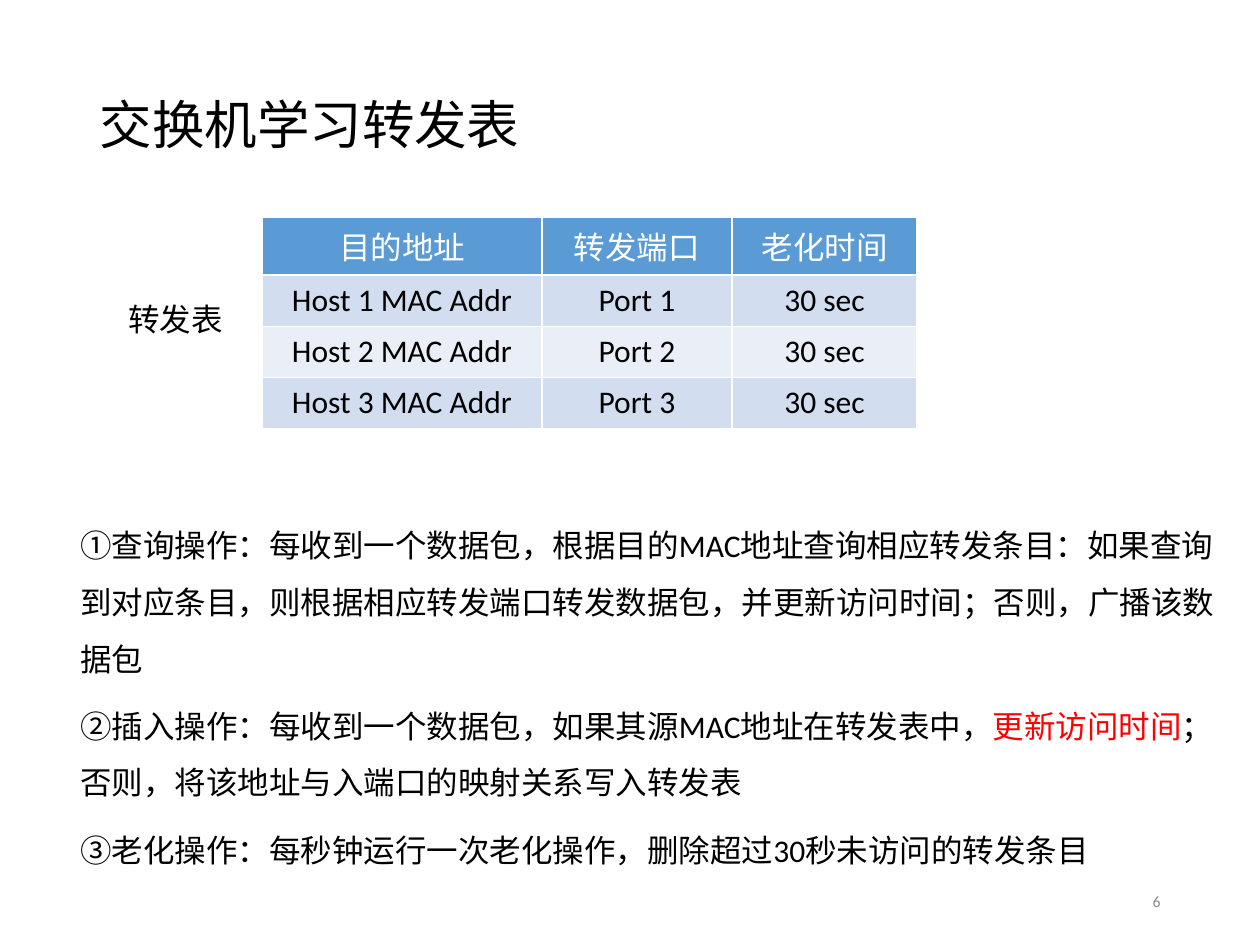
from pptx import Presentation, util as u
from pptx.dml.color import RGBColor
from pptx.enum import text

BLACK = RGBColor(0x00, 0x00, 0x00)
WHITE = RGBColor(0xFF, 0xFF, 0xFF)
RED = RGBColor(0xFF, 0x00, 0x00)
GRAY = RGBColor(0x8C, 0x8C, 0x8C)
HEADER_BLUE = RGBColor(0x5B, 0x9B, 0xD5)
BANDS = [RGBColor(0xEA, 0xEF, 0xF7), RGBColor(0xD2, 0xDE, 0xEF)]
LEFT, CENTER, RIGHT = text.PP_ALIGN.LEFT, text.PP_ALIGN.CENTER, text.PP_ALIGN.RIGHT


def px(count):
    """Turn pixels, 126 to the inch, into EMU."""
    return u.Emu(round(count * 914400 / 126))


def add_span(para, words, size=18, color=BLACK):
    span = para.add_run()
    span.text = words
    span.font.name = "Calibri"
    span.font.size = u.Pt(size)
    span.font.bold = False
    span.font.color.rgb = color


deck = Presentation()
deck.slide_width, deck.slide_height = px(1260), px(945)
page = deck.slides.add_slide(deck.slide_layouts[5])

# Title
title = page.shapes.title
title.left, title.top, title.width, title.height = px(87), px(50), px(1086), px(155)
title.text_frame.vertical_anchor = text.MSO_ANCHOR.MIDDLE
para = title.text_frame.paragraphs[0]
para.alignment = LEFT
para.line_spacing = 0.9
add_span(para, "交换机学习转发表", 30)

# Forwarding table
rows = [["目的地址", "转发端口", "老化时间"]]
rows += [[f"Host {n} MAC Addr", f"Port {n}", "30 sec"] for n in (1, 2, 3)]
table = page.shapes.add_table(4, 3, px(262), px(217), px(655), px(204)).table
for column, width in zip(table.columns, (280, 190, 185)):
    column.width = px(width)
for r, row in enumerate(rows):
    table.rows[r].height = px(51)
    for c, words in enumerate(row):
        cell = table.cell(r, c)
        cell.fill.solid()
        cell.fill.fore_color.rgb = BANDS[r % 2] if r else HEADER_BLUE
        para = cell.text_frame.paragraphs[0]
        para.alignment = CENTER
        add_span(para, words, color=BLACK if r else WHITE)

# Table label
label = page.shapes.add_textbox(px(116), px(294), px(121), px(50))
label.text_frame.word_wrap = False
add_span(label.text_frame.paragraphs[0], "转发表")

# Operations
operations = [
    [("①查询操作：每收到一个数据包，根据目的MAC地址查询相应转发条目：如果查询到对应条目，"
      "则根据相应转发端口转发数据包，并更新访问时间；否则，广播该数据包", BLACK)],
    [("②插入操作：每收到一个数据包，如果其源MAC地址在转发表中，", BLACK),
     ("更新访问时间", RED),
     ("；否则，将该地址与入端口的映射关系写入转发表", BLACK)],
    [("③老化操作：每秒钟运行一次老化操作，删除超过30秒未访问的转发条目", BLACK)],
]
box = page.shapes.add_textbox(px(68), px(501), px(1163), px(370))
frame = box.text_frame
frame.word_wrap = True
for i, operation in enumerate(operations):
    para = frame.add_paragraph() if i else frame.paragraphs[0]
    para.line_spacing = 1.5
    para.space_before = u.Pt(6)
    for words, color in operation:
        add_span(para, words, color=color)

# Page number
number = page.shapes.add_textbox(px(890), px(876), px(283), px(50))
number.text_frame.word_wrap = True
number.text_frame.vertical_anchor = text.MSO_ANCHOR.MIDDLE
para = number.text_frame.paragraphs[0]
para.alignment = RIGHT
add_span(para, "6", 9, GRAY)

deck.save("out.pptx")
